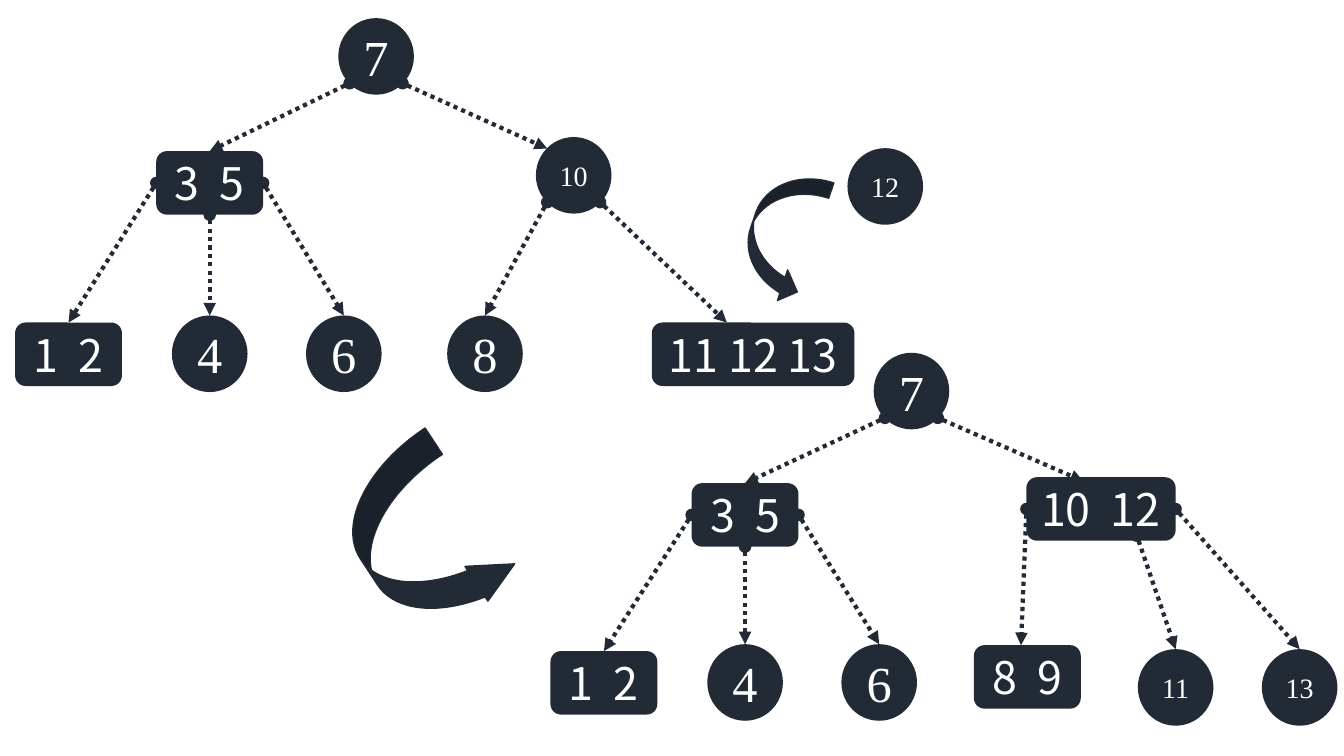
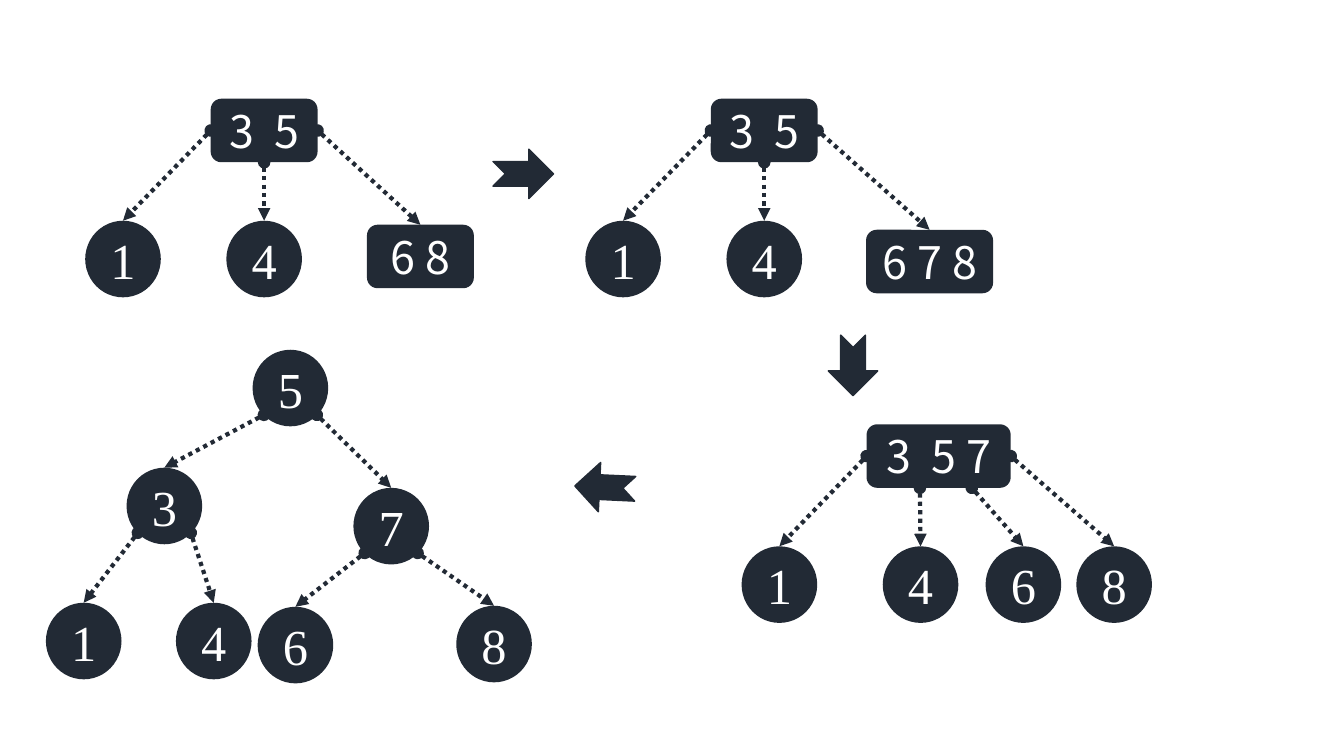
import lxml.etree
import pptx
import pptx.dml.color
import pptx.enum.dml
import pptx.enum.shapes
import pptx.enum.text
import pptx.oxml.ns
import pptx.util

SHAPES = pptx.enum.shapes.MSO_SHAPE
DARK, WHITE = "222A35", "FFFFFF"
CIRCLE_FONT, BOX_FONT = "Times New Roman", "Noto Sans CJK SC"

# Grid: each cell is a tenth of an inch
SLIDE_WIDTH = pptx.util.Inches(13.33)
SLIDE_HEIGHT = pptx.util.Inches(7.5)
COLUMN = SLIDE_WIDTH / 133.3
ROW = SLIDE_HEIGHT / 75
CIRCLE_SIZE = (7.5, 7.6)
BOX_WIDTH, BOX_HEIGHT = 10.6, 6.3

# Connection sites: index, then share of the shape's width and height
CIRCLE_SITES = {
    "top": (0, 0.5, 0),
    "top left": (1, 0.15, 0.15),
    "bottom left": (3, 0.15, 0.85),
    "bottom right": (5, 0.85, 0.85),
}
BOX_SITES = {
    "top": (0, 0.5, 0),
    "left": (1, 0, 0.5),
    "bottom": (2, 0.5, 1),
    "right": (3, 1, 0.5),
}


def color(value):
    return pptx.dml.color.RGBColor.from_string(value)


def add_element(parent, tag, **attributes):
    return lxml.etree.SubElement(parent, pptx.oxml.ns.qn(tag), **attributes)


def add_dark_shape(slide, kind, left, top, width, height):
    shape = slide.shapes.add_shape(
        kind, *(round(length) for length in
                (left * COLUMN, top * ROW, width * COLUMN, height * ROW)))
    shape.shadow.inherit = False
    shape.fill.solid()
    shape.fill.fore_color.rgb = color(DARK)
    shape.line.fill.background()
    return shape


def add_node(slide, text, center, top, width=BOX_WIDTH):
    """A lone number is a circle; several numbers share a rounded box."""
    if " " in text:
        kind, height = SHAPES.ROUNDED_RECTANGLE, BOX_HEIGHT
        font, size = BOX_FONT, 32
    else:
        kind, (width, height) = SHAPES.OVAL, CIRCLE_SIZE
        font, size = CIRCLE_FONT, 36 if len(text) == 1 else 20
    shape = add_dark_shape(slide, kind, center - width / 2, top, width, height)
    shape.text_frame.vertical_anchor = pptx.enum.text.MSO_ANCHOR.MIDDLE
    paragraph = shape.text_frame.paragraphs[0]
    paragraph.alignment = pptx.enum.text.PP_ALIGN.CENTER
    run = paragraph.add_run()
    run.text = text
    run.font.name = font
    run.font.size = pptx.util.Pt(size)
    run.font.color.rgb = color(WHITE)
    return shape


def locate(shape, site):
    """Return the site's index (None for a free spot) and its point."""
    if isinstance(site, str):
        is_circle = shape.auto_shape_type == SHAPES.OVAL
        index, across, down = (CIRCLE_SITES if is_circle else BOX_SITES)[site]
    else:
        index, (across, down) = None, site
    point = (round(shape.left + across * shape.width),
             round(shape.top + down * shape.height))
    return index, point


def add_edge(slide, parent, parent_site, child, child_site="top"):
    start_index, start = locate(parent, parent_site)
    end_index, end = locate(child, child_site)
    connector = slide.shapes.add_connector(
        pptx.enum.shapes.MSO_CONNECTOR.STRAIGHT, *start, *end)
    connector.line.color.rgb = color(DARK)
    connector.line.width = pptx.util.Pt(3)
    connector.line.dash_style = pptx.enum.dml.MSO_LINE.ROUND_DOT
    # Ends of the line, and no shadow
    properties = connector._element.spPr
    line = properties.find(pptx.oxml.ns.qn("a:ln"))
    add_element(line, "a:headEnd", type="oval")
    add_element(line, "a:tailEnd", type="triangle")
    add_element(properties, "a:effectLst")
    # Attach the line to its nodes
    links = connector._element.find(".//" + pptx.oxml.ns.qn("p:cNvCxnSpPr"))
    for tag, shape, index in (("a:stCxn", parent, start_index),
                              ("a:endCxn", child, end_index)):
        if index is not None:
            add_element(links, tag, id=str(shape.shape_id), idx=str(index))


def add_tree(slide, left, top, nodes, edges, row_scale=1):
    """Nodes: text, center column, top row[, width], from the tree's corner."""
    shapes = {
        text: add_node(slide, text, left + center, top + row * row_scale, *width)
        for text, center, row, *width in nodes
    }
    for parent, parent_site, child, *child_site in edges:
        add_edge(slide, shapes[parent], parent_site, shapes[child], *child_site)


def add_block_arrow(slide, kind, box, rotation=0, adjustments=()):
    arrow = add_dark_shape(slide, kind, *box)
    arrow.line.color.rgb = color(DARK)
    arrow.line.width = pptx.util.Pt(1)
    arrow.rotation = rotation
    for index, value in enumerate(adjustments):
        arrow.adjustments[index] = value


def build_insert_twelve(slide):
    # Root and left half, the same before and after
    left_nodes = [("7", 35.8, 0), ("3  5", 19.3, 13.2), ("1  2", 5.3, 30.2),
                  ("4", 19.3, 29.5), ("6", 32.6, 29.5)]
    left_edges = [("7", "bottom left", "3  5"), ("3  5", "left", "1  2"),
                  ("3  5", "bottom", "4"), ("3  5", "right", "6")]
    # Before the split
    add_tree(slide, 1.5, 1.8,
             left_nodes + [("10", 55.4, 11.8), ("8", 46.6, 29.5),
                           ("11 12 13", 73.2, 30.2, 20.1)],
             left_edges + [("7", "bottom right", "10", "top left"),
                           ("10", "bottom left", "8"),
                           ("10", "bottom right", "11 12 13", (0.37, 0))])
    # After the split
    add_tree(slide, 54.6, 35,
             left_nodes + [("10  12", 54.6, 12.6, 14.8), ("8  9", 47.3, 29.6),
                           ("11", 62, 30), ("13", 74.3, 30)],
             left_edges + [("7", "bottom right", "10  12", (0.38, 0.06)),
                           ("10  12", "left", "8  9", (0.44, 0)),
                           ("10  12", (0.74, 0.92), "11"),
                           ("10  12", "right", "13")],
             row_scale=0.98)
    # New key and curved arrows
    add_node(slide, "12", 87.8, 14.7)
    add_block_arrow(slide, SHAPES.CURVED_RIGHT_ARROW,
                    (74.4, 16.8, 6.4, 13), 18.5)
    add_block_arrow(slide, SHAPES.CURVED_RIGHT_ARROW,
                    (35.7, 44.4, 12.5, 18.2), 326.6, (0.25, 0.33, 0.34))


def build_insert_seven(slide):
    first_leaves = [("1", 3.8, 12.1), ("4", 17.8, 12.1)]
    # Top row: the last leaf gains a key
    for left, last_leaf in ((8.4, ("6 8", 33.3, 12.5)),
                            (58, ("6 7 8", 34.2, 13, 12.6))):
        add_tree(slide, left, 9.8,
                 first_leaves + [("3  5", 17.8, 0), last_leaf],
                 [("3  5", "left", "1"), ("3  5", "bottom", "4"),
                  ("3  5", "right", last_leaf[0])])
    # Bottom right: the middle key moves up
    add_tree(slide, 73.5, 42.1,
             first_leaves + [("3  5 7", 19.6, 0, 14.3),
                             ("6", 28, 12.1), ("8", 37, 12.1)],
             [("3  5 7", "left", "1"), ("3  5 7", (0.37, 1), "4"),
              ("3  5 7", (0.73, 1), "6"), ("3  5 7", "right", "8")])
    # Bottom left: the root splits
    add_tree(slide, 4.5, 34.7,
             [("5", 24.3, 0), ("3", 11.8, 11.7), ("7", 34.3, 13.7),
              ("1", 3.8, 25.1), ("4", 16.7, 25.1),
              ("6", 24.8, 25.5), ("8", 44.5, 25.4)],
             [(parent, side, child)
              for parent, children in (("5", "37"), ("3", "14"), ("7", "68"))
              for side, child in zip(("bottom left", "bottom right"), children)])
    # Arrows between the steps
    for left, top, rotation in ((48.9, 14.8, 0), (81.6, 33.8, 90),
                                (57, 45.9, 182.7)):
        add_block_arrow(slide, SHAPES.NOTCHED_RIGHT_ARROW,
                        (left, top, 6, 4.9), rotation)


presentation = pptx.Presentation()
presentation.slide_width = SLIDE_WIDTH
presentation.slide_height = SLIDE_HEIGHT
for build in (build_insert_twelve, build_insert_seven):
    build(presentation.slides.add_slide(presentation.slide_layouts[6]))
presentation.save("out.pptx")
